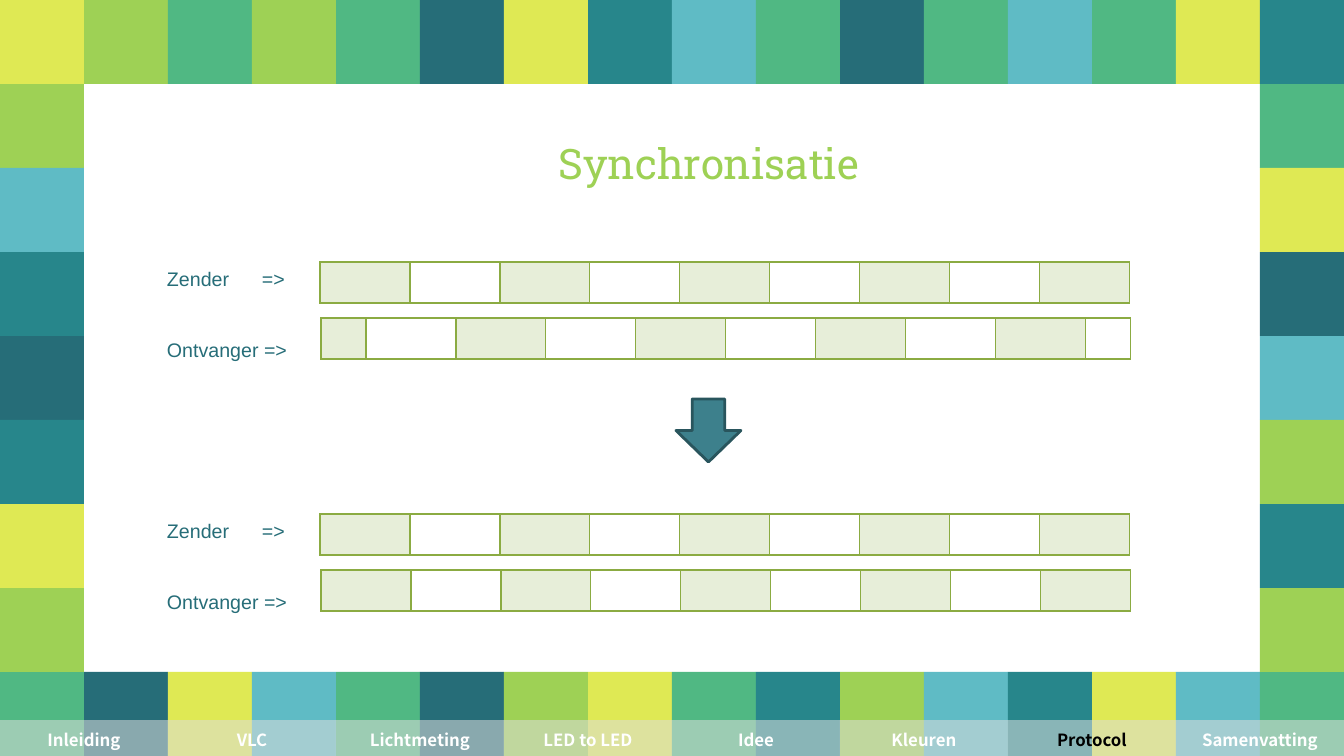
from lxml.etree import SubElement
from pptx import Presentation
from pptx.dml.color import RGBColor
from pptx.enum.shapes import MSO_SHAPE
from pptx.enum.text import MSO_ANCHOR, PP_ALIGN
from pptx.oxml import parse_xml
from pptx.oxml.ns import nsdecls, qn
from pptx.util import Emu, Pt

WIDTH, HEIGHT, TILE = 1344, 756, 84
EMU_PER_PX = 12192000 / WIDTH

LIME, NAVY, YELLOW = "9ED155", "266D78", "DFE954"
GREEN, TEAL, BLUE = "50B883", "27868B", "5FBBC5"
OLIVE, WHITE = "8BAB42", "FFFFFF"
TILE_COLOURS = {"L": LIME, "N": NAVY, "Y": YELLOW, "G": GREEN, "T": TEAL, "B": BLUE}
TOP, BOTTOM = "YLGLGNYTBGNGBGYT", "GNYBGNLYGTLBTYBG"
LEFT, RIGHT = "LBTNTYL", "GYNBLTL"

CHAPTERS = ["Inleiding", "VLC", "Lichtmeting", "LED to LED",
            "Idee", "Kleuren", "Protocol", "Samenvatting"]
CURRENT = "Protocol"
NO_TABLE_STYLE = "{2D5ABB26-0587-4C30-8999-92F81FD0307C}"


def px(length):
    return Emu(round(length * EMU_PER_PX))


def rgb(colour):
    return RGBColor.from_string(colour)


def style_font(font, name, size, colour, bold=False):
    font.name, font.size, font.bold = name, Pt(size), bold
    font.color.rgb = rgb(colour)


def add_solid(page, kind, left, top, width, height, colour):
    shape = page.shapes.add_shape(kind, px(left), px(top), px(width), px(height))
    shape.shadow.inherit = False
    shape.fill.solid()
    shape.fill.fore_color.rgb = rgb(colour)
    shape.line.fill.background()
    return shape


def add_text_frame(page, left, top, width, height):
    box = page.shapes.add_textbox(px(left), px(top), px(width), px(height))
    frame = box.text_frame
    frame.word_wrap = True
    frame.margin_left = frame.margin_right = px(10)
    frame.margin_top = frame.margin_bottom = px(10)
    return frame


def add_row_table(page, left, top, widths, height):
    """Add a one-row table without any style and return its cells."""
    table = page.shapes.add_table(
        1, len(widths), px(left), px(top), px(sum(widths)), px(height)).table
    table.first_row = table.horz_banding = False
    table._tbl.tblPr.find(qn("a:tableStyleId")).text = NO_TABLE_STYLE
    table.rows[0].height = px(height)
    for column, width in zip(table.columns, widths):
        column.width = px(width)
    return list(table.rows[0].cells)


def fill_cell(cell, colour, percent):
    cell.fill.solid()
    cell.fill.fore_color.rgb = rgb(colour)
    tint = cell._tc.tcPr.find(".//" + qn("a:srgbClr"))
    SubElement(tint, qn("a:alpha")).set("val", str(percent * 1000))


def border_cell(cell, colour, points):
    for index, side in enumerate(("lnL", "lnR", "lnT", "lnB")):
        cell._tc.tcPr.insert(index, parse_xml(
            f'<a:{side} {nsdecls("a")} w="{Pt(points)}"><a:solidFill>'
            f'<a:srgbClr val="{colour}"/></a:solidFill></a:{side}>'))


def add_frame(page):
    tiles = [(column, 0, key) for column, key in enumerate(TOP)]
    tiles += [(column, 8, key) for column, key in enumerate(BOTTOM)]
    tiles += [(0, row, key) for row, key in enumerate(LEFT, 1)]
    tiles += [(15, row, key) for row, key in enumerate(RIGHT, 1)]
    for column, row, key in tiles:
        add_solid(page, MSO_SHAPE.RECTANGLE, column * TILE, row * TILE,
                  TILE, TILE, TILE_COLOURS[key])


def add_title(page, left, top, width, height):
    frame = add_text_frame(page, left, top, width, height)
    frame.vertical_anchor = MSO_ANCHOR.BOTTOM
    para = frame.paragraphs[0]
    para.text = "Synchronisatie"
    para.alignment = PP_ALIGN.CENTER
    style_font(para.font, "Roboto Slab", 30, LIME)


def add_signal(page, left, top, widths):
    """Draw a row of time slots in which every other one is lit."""
    for index, cell in enumerate(add_row_table(page, left, top, widths, 41)):
        cell.margin_top = cell.margin_bottom = 0
        if index % 2 == 0:
            fill_cell(cell, OLIVE, 20)
        else:
            cell.fill.background()
        border_cell(cell, OLIVE, 1)


def add_signal_pair(page, left, top, receiver_widths):
    """Draw the sender above the receiver, with their labels at the left."""
    frame = add_text_frame(page, left, top - 5, 175, 122)
    frame.margin_left = px(25)
    sender, receiver = frame.paragraphs[0], frame.add_paragraph()
    sender.text, receiver.text = "Zender\t=>", "Ontvanger =>"
    tabs = SubElement(sender._p.get_or_add_pPr(), qn("a:tabLst"))
    SubElement(tabs, qn("a:tab"), pos=str(px(95)), algn="l")
    receiver.space_before = Pt(34)
    for para in (sender, receiver):
        style_font(para.font, "Arial", 14, NAVY)
    add_signal(page, left + 178, top, [90] * 9)
    add_signal(page, left + 179, top + 56, receiver_widths)


def add_arrow(page, left, top, width, height):
    arrow = add_solid(page, MSO_SHAPE.DOWN_ARROW, left, top, width, height, "3D808C")
    arrow.line.color.rgb = rgb("29555D")
    arrow.line.width = Pt(2)


def add_navigation(page, left, top, width, height):
    widths = [width // len(CHAPTERS)] * len(CHAPTERS)
    cells = add_row_table(page, left, top, widths, height)
    for cell, chapter in zip(cells, CHAPTERS):
        fill_cell(cell, "DDDDDD", 54)
        cell.vertical_anchor = MSO_ANCHOR.MIDDLE
        para = cell.text_frame.paragraphs[0]
        para.text = chapter
        para.alignment = PP_ALIGN.CENTER
        colour = "000000" if chapter == CURRENT else WHITE
        style_font(para.font, "Noto Sans CJK KR", 12, colour, bold=True)


def main():
    deck = Presentation()
    deck.slide_width, deck.slide_height = px(WIDTH), px(HEIGHT)
    page = deck.slides.add_slide(deck.slide_layouts[6])
    add_frame(page)
    add_title(page, 238, 72, 942, 126)
    add_signal_pair(page, 142, 262, [45] + [90] * 8 + [45])
    add_signal_pair(page, 142, 514, [90] * 9)
    add_arrow(page, 676, 399, 65, 63)
    add_navigation(page, 0, 720, WIDTH, 38)
    deck.save("out.pptx")


if __name__ == "__main__":
    main()
